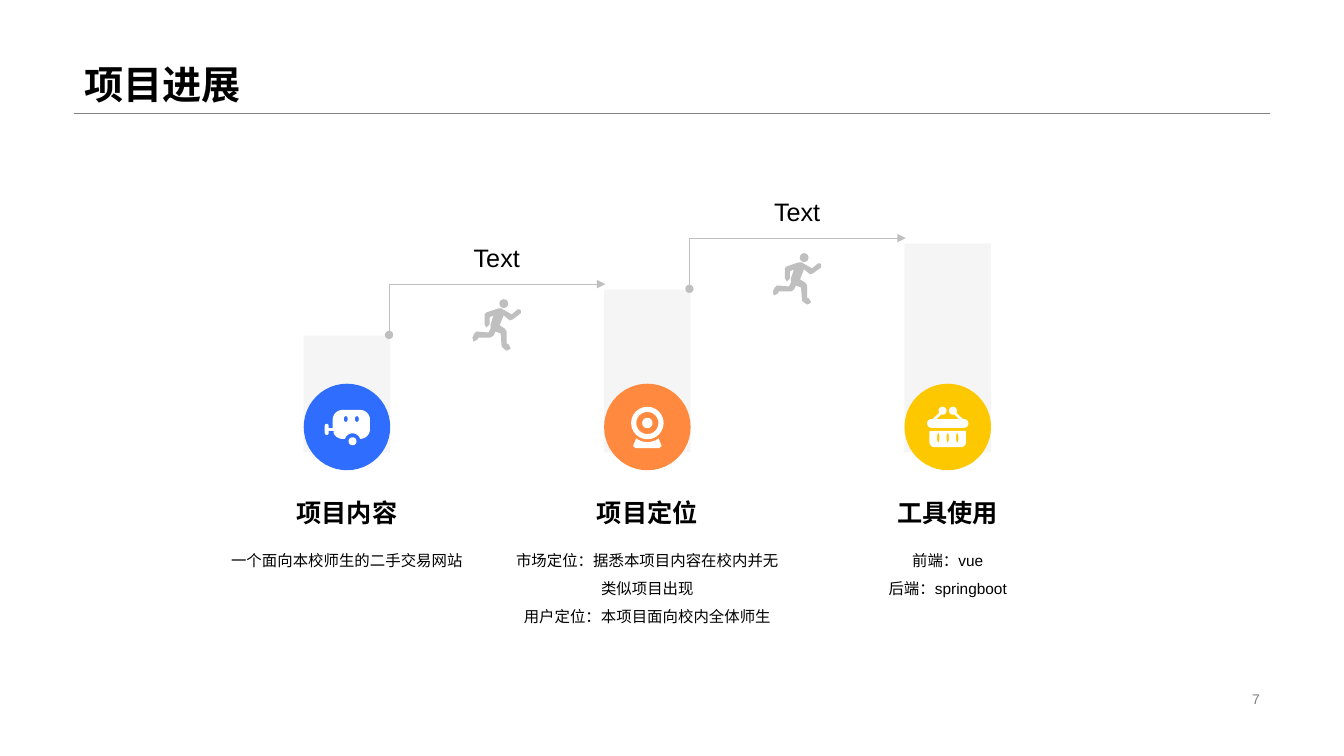
from math import cos, radians, sin

from lxml import etree
from pptx import Presentation
from pptx.dml.color import RGBColor
from pptx.enum.shapes import MSO_CONNECTOR as Connector, MSO_SHAPE as Shape
from pptx.enum.text import MSO_ANCHOR as Anchor, PP_ALIGN as Align
from pptx.oxml.ns import qn
from pptx.util import Cm, Pt

BLACK = RGBColor(0x00, 0x00, 0x00)
WHITE = RGBColor(0xFF, 0xFF, 0xFF)
GRAY = RGBColor(0x80, 0x80, 0x80)
SILVER = RGBColor(0xBF, 0xBF, 0xBF)
PALE = RGBColor(0xF2, 0xF2, 0xF2)
BLUE = RGBColor(0x2F, 0x6D, 0xFF)
ORANGE = RGBColor(0xFF, 0x8A, 0x3F)
YELLOW = RGBColor(0xFE, 0xC8, 0x00)


def arc(x, y, radius, start, stop, stretch=1):
    """Points along an arc; angles run clockwise from the right."""
    count = 24
    angles = [radians(start + (stop - start) * i / count) for i in range(count + 1)]
    return [(x + radius * cos(a), y + radius * stretch * sin(a)) for a in angles]


def circle(x, y, radius, stretch=1):
    return arc(x, y, radius, 0, 360, stretch)


# Icon outlines in cm from the disc centre; inner outlines are holes
TRAILER = [
    arc(0.33, -0.18, 0.25, -90, 0) + arc(0.33, 0.05, 0.25, 0, 90)
    + arc(0.14, 0.36, 0.2, -17, -163) + arc(-0.11, 0.05, 0.25, 90, 157)
    + [(-0.33, 0.1), (-0.46, 0.1)] + arc(-0.51, 0.15, 0.05, 0, 180)
    + arc(-0.51, -0.03, 0.05, 180, 360) + [(-0.46, 0.03), (-0.36, 0.03)]
    + arc(-0.11, -0.18, 0.25, 180, 270),
    circle(-0.03, -0.2, 0.05, 1.5),
    circle(0.25, -0.2, 0.05, 1.5),
    circle(0.14, 0.36, 0.1),
]
WEBCAM = [
    arc(0, -0.1, 0.48, 126, 54) + [(0.36, 0.48), (0.3, 0.53), (-0.3, 0.53), (-0.36, 0.48)],
] + [circle(0, -0.1, radius) for radius in (0.41, 0.28, 0.13)]
BASKET = [
    # Lid with both handles
    arc(-0.13, -0.41, 0.1, 150, 470) + [(-0.28, -0.2), (0.28, -0.2)]
    + arc(0.13, -0.41, 0.1, 70, 390) + [(0.38, -0.2)]
    + arc(0.41, -0.09, 0.11, -90, 90) + arc(-0.41, -0.09, 0.11, 90, 270) + [(-0.38, -0.2)],
    # Tub
    [(-0.46, 0.1), (0.46, 0.1)] + arc(0.33, 0.38, 0.13, 0, 90) + arc(-0.33, 0.38, 0.13, 90, 180),
] + [circle(x, 0.27, 0.03, 4) for x in (-0.24, 0, 0.24)]

# Outline of the runner's body, in fiftieths of 1.27 cm
BODY = [
    (48, 11), (47, 10), (45, 10), (39, 15), (30, 10), (29, 9), (26, 9), (14, 13),
    (12, 15), (12, 25), (14, 28), (17, 25), (17, 18), (21, 16), (18, 25), (18, 29),
    (16, 33), (4, 32), (2, 34), (0, 38), (1, 42), (5, 40), (6, 38), (18, 38),
    (21, 36), (23, 32), (28, 34), (29, 47), (31, 49), (34, 51), (38, 49), (36, 45),
    (34, 44), (34, 32), (32, 29), (27, 26), (31, 16), (37, 21), (40, 20), (48, 14),
]
RUNNER = [circle(0.79, 0.11, 0.11), [(x * 1.27 / 50, y * 1.27 / 50) for x, y in BODY]]

STEPS = [
    ("项目内容", ["一个面向本校师生的二手交易网站"], BLUE, TRAILER),
    ("项目定位", ["市场定位：据悉本项目内容在校内并无类似项目出现",
              "用户定位：本项目面向校内全体师生"], ORANGE, WEBCAM),
    ("工具使用", ["前端：vue", "后端：springboot"], YELLOW, BASKET),
]
COLUMN_LEFT, COLUMN_WIDTH, COLUMN_PITCH = 5.14, 7.21, 7.57
BAR_TOP, BAR_RISE, BAR_BOTTOM = 8.46, 1.16, 11.4
DISC_TOP, DISC_SIZE = 9.67, 2.18
HEADING_TOP, HEADING_HEIGHT = 12.3, 1.22
BODY_TOP, BODY_HEIGHT = 13.54, 2.72


def write_text(shape, lines, size, align, anchor, bold=False, color=BLACK, spacing=None):
    frame = shape.text_frame
    frame.text = "\n".join(lines)
    frame.word_wrap = True
    frame.vertical_anchor = anchor
    for paragraph in frame.paragraphs:
        paragraph.alignment = align
        paragraph.line_spacing = spacing
        for run in paragraph.runs:
            run.font.name = "Arial"
            run.font.size = Pt(size)
            run.font.bold = bold
            run.font.color.rgb = color


def add_text(slide, left, top, width, height, *text, **style):
    box = slide.shapes.add_textbox(Cm(left), Cm(top), Cm(width), Cm(height))
    write_text(box, *text, **style)


def paint(shape, color):
    shape.shadow.inherit = False
    shape.fill.solid()
    shape.fill.fore_color.rgb = color
    shape.line.fill.background()


def add_block(slide, kind, left, top, width, height, color):
    shape = slide.shapes.add_shape(kind, Cm(left), Cm(top), Cm(width), Cm(height))
    paint(shape, color)
    return shape


def add_outlines(slide, left, top, outlines, closed=True):
    # Outline points are in cm, the builder works in thousandths of them
    scaled = [[(x * 1000, y * 1000) for x, y in outline] for outline in outlines]
    builder = slide.shapes.build_freeform(*scaled[0][0], scale=Cm(1) / 1000)
    builder.add_line_segments(scaled[0][1:], close=closed)
    for outline in scaled[1:]:
        builder.move_to(*outline[0])
        builder.add_line_segments(outline[1:], close=closed)
    return builder.convert_to_shape(Cm(left), Cm(top))


def add_header(slide, left, top, width, height):
    line = slide.shapes.add_connector(Connector.STRAIGHT, Cm(left), Cm(top + height),
                                      Cm(left + width), Cm(top + height))
    line.line.color.rgb = GRAY
    line.line.width = Pt(0.25)
    etree.SubElement(line._element.spPr, qn("a:effectLst"))
    title = slide.shapes.title
    title.left, title.top, title.width, title.height = Cm(left), Cm(top), Cm(width), Cm(height)
    write_text(title, ["项目进展"], 28, Align.LEFT, Anchor.BOTTOM, bold=True, spacing=0.9)


def add_step(slide, left, bar_top, heading, lines, accent, icon):
    center = left + COLUMN_WIDTH / 2
    # Bar, disc and icon
    bar_left = center - DISC_SIZE / 2
    bar = add_block(slide, Shape.RECTANGLE, bar_left, bar_top, DISC_SIZE,
                    BAR_BOTTOM - bar_top, PALE)
    color = bar._element.spPr.find(qn("a:solidFill"))[0]
    etree.SubElement(color, qn("a:alpha"), val="70000")
    add_block(slide, Shape.OVAL, bar_left, DISC_TOP, DISC_SIZE, DISC_SIZE, accent)
    paint(add_outlines(slide, center, DISC_TOP + DISC_SIZE / 2, icon), WHITE)
    # Heading and description
    add_text(slide, left, HEADING_TOP, COLUMN_WIDTH, HEADING_HEIGHT,
             [heading], 18, Align.CENTER, Anchor.MIDDLE, bold=True)
    add_text(slide, left, BODY_TOP, COLUMN_WIDTH, BODY_HEIGHT,
             lines, 11, Align.CENTER, Anchor.TOP, spacing=1.5)


def add_transition(slide, left, top):
    # Bent arrow
    arrow = add_outlines(slide, left, top, [[(0, 0), (0, -1.28), (5.45, -1.28)]], closed=False)
    arrow.shadow.inherit = False
    arrow.fill.background()
    arrow.line.color.rgb = SILVER
    arrow.line.width = Pt(0.25)
    line = arrow.line._get_or_add_ln()
    etree.SubElement(line, qn("a:headEnd"), type="oval")
    etree.SubElement(line, qn("a:tailEnd"), type="triangle")
    # Runner and label
    paint(add_outlines(slide, left + 2.1, top - 0.9, RUNNER), SILVER)
    add_text(slide, left + 1.75, top - 2.46, 1.93, 1.02,
             ["Text"], 18, Align.CENTER, Anchor.MIDDLE)


def main():
    presentation = Presentation()
    presentation.slide_width, presentation.slide_height = Cm(33.87), Cm(19.05)
    slide = presentation.slides.add_slide(presentation.slide_layouts[5])
    add_header(slide, 1.87, 0, 30.13, 2.84)
    for index, step in enumerate(STEPS):
        left = COLUMN_LEFT + index * COLUMN_PITCH
        bar_top = BAR_TOP - index * BAR_RISE
        add_step(slide, left, bar_top, *step)
        if index < len(STEPS) - 1:
            bar_right = left + (COLUMN_WIDTH + DISC_SIZE) / 2
            add_transition(slide, bar_right - 0.03, bar_top - 0.02)
    # Page number
    add_text(slide, 23.92, 17.32, 8.08, 0.58, ["7"], 10, Align.RIGHT, Anchor.MIDDLE, color=GRAY)
    presentation.save("out.pptx")


if __name__ == "__main__":
    main()
